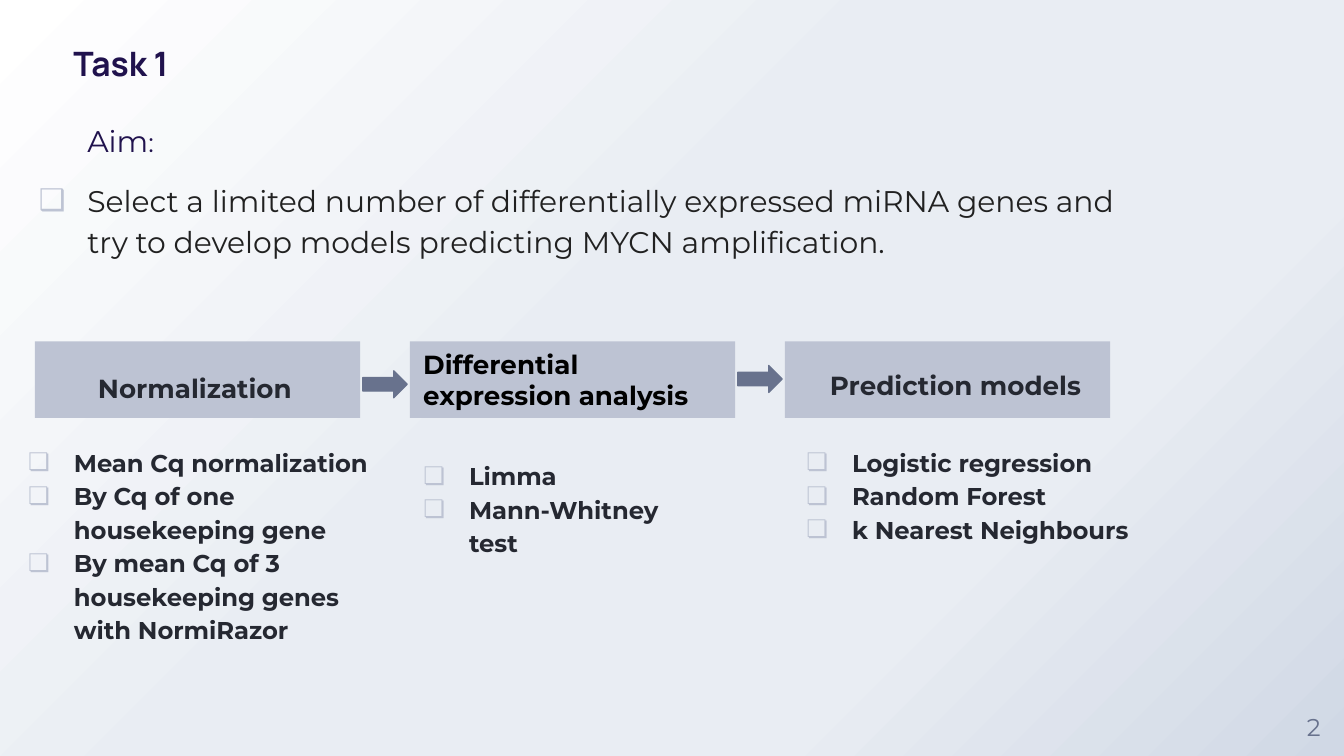
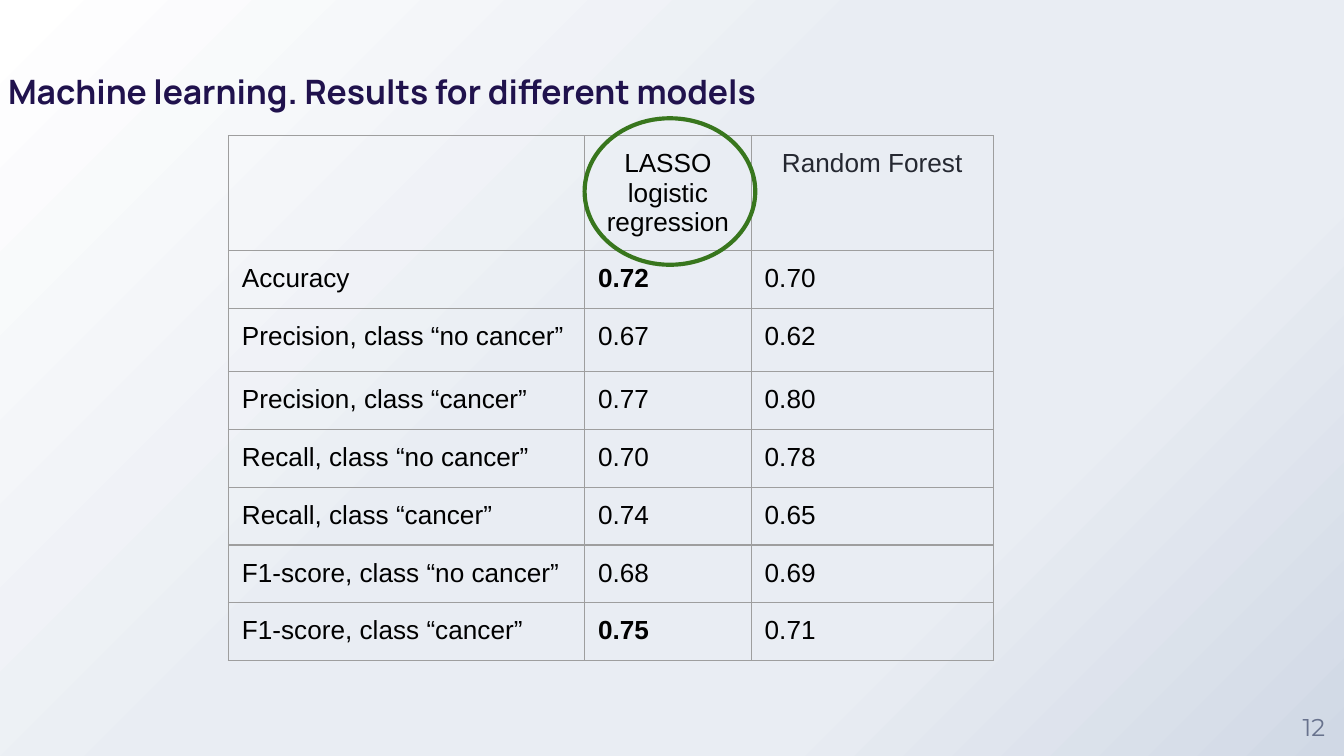
"""Builds two slides on choosing miRNA genes and comparing prediction models."""
from dataclasses import dataclass

from lxml import etree
from pptx import Presentation
from pptx.dml.color import RGBColor
from pptx.enum.shapes import MSO_SHAPE
from pptx.enum.text import MSO_ANCHOR, MSO_AUTO_SIZE, PP_ALIGN
from pptx.oxml.ns import qn
from pptx.util import Inches, Pt

RECTANGLE, ARROW, OVAL = MSO_SHAPE.RECTANGLE, MSO_SHAPE.RIGHT_ARROW, MSO_SHAPE.OVAL
LEFT, CENTER = PP_ALIGN.LEFT, PP_ALIGN.CENTER
TOP, MIDDLE, BOTTOM = MSO_ANCHOR.TOP, MSO_ANCHOR.MIDDLE, MSO_ANCHOR.BOTTOM
NO_FIT = MSO_AUTO_SIZE.NONE


@dataclass(frozen=True)
class Theme:
    """Holds the colours, fonts and type sizes."""
    navy: str = "20124D"
    ink: str = "252831"
    charcoal: str = "212121"
    black: str = "000000"
    slate: str = "68728D"
    band: str = "BDC3D3"
    grid: str = "9E9E9E"
    green: str = "38761D"
    title_font: str = "Manrope"
    body_font: str = "Montserrat"
    table_font: str = "Arial"
    title_size: int = 18
    lead_size: int = 16
    label_size: int = 14
    list_size: int = 13
    inset: float = 0.1
    backdrop: tuple = ((0, "FFFFFF"), (44, "E9EDF3"), (72, "E9EDF3"), (100, "D0D8E5"))


THEME = Theme()

AIM = "Select a limited number of differentially expressed miRNA genes and try to develop models predicting MYCN amplification."
STAGE_LEFT, STAGE_STEP, STAGE_TOP = 0.26, 2.79, 2.54
STAGE_WIDTH, STAGE_HEIGHT = 2.42, 0.57
ARROW_TOPS = (2.76, 2.72)
STAGE_LABELS = (
    ("Normalization", (0.49, 2.02, 1.92, 1.7)),
    ("Prediction models", (5.84, 2, 2.54, 1.7)),
)
MIDDLE_STAGE = "Differential expression analysis"
STAGE_LISTS = (
    ((0.05, 3.3, 2.8, 1.88), 0, (
        "Mean Cq normalization",
        "By Cq of one housekeeping gene",
        "By mean Cq of 3 housekeeping genes with NormiRazor",
    )),
    ((2.89, 3.3, 2.12, 0.92), THEME.inset, ("Limma", "Mann-Whitney test")),
    ((5.84, 3.3, 3.7, 1.39), 0, ("Logistic regression", "Random Forest", "k Nearest Neighbours")),
)

MODEL_SCORES = (
    ("", "LASSO logistic regression", "Random Forest"),
    ("Accuracy", "0.72", "0.70"),
    ("Precision, class “no cancer”", "0.67", "0.62"),
    ("Precision, class “cancer”", "0.77", "0.80"),
    ("Recall, class “no cancer”", "0.70", "0.78"),
    ("Recall, class “cancer”", "0.74", "0.65"),
    ("F1-score, class “no cancer”", "0.68", "0.69"),
    ("F1-score, class “cancer”", "0.75", "0.71"),
)
BEST_SCORES = ("0.72", "0.75")
COLUMN_WIDTHS = (2.65, 1.24, 1.8)
ROW_HEIGHTS = (0.67, 0.43, 0.47) + (0.43,) * 5


def color(value):
    return RGBColor.from_string(value)


def add_solid(parent, tag, value):
    """Appends a colour holder to an XML element."""
    holder = etree.SubElement(parent, qn(tag))
    etree.SubElement(holder, qn("a:srgbClr"), val=value)


def paint_master(master):
    """Gives every slide the corner gradient."""
    master.background.fill.gradient()
    gradient = next(master.element.iter(qn("a:gradFill")))
    for child in list(gradient):
        gradient.remove(child)
    stops = etree.SubElement(gradient, qn("a:gsLst"))
    for position, value in THEME.backdrop:
        stop = etree.SubElement(stops, qn("a:gs"), pos=str(position * 1000))
        etree.SubElement(stop, qn("a:srgbClr"), val=value)
    spread = etree.SubElement(gradient, qn("a:path"), path="circle")
    etree.SubElement(spread, qn("a:fillToRect"), r="100000", b="100000")


def place(box, area):
    box.left, box.top, box.width, box.height = map(Inches, area)


def prepare_frame(frame, anchor=TOP, inset=0):
    frame.word_wrap = True
    frame.auto_size = NO_FIT
    frame.vertical_anchor = anchor
    frame.margin_left = frame.margin_right = Inches(inset)
    frame.margin_top = frame.margin_bottom = Inches(inset)


def add_span(para, text, font, size, value, bold=False):
    span = para.add_run()
    span.text = text
    span.font.name, span.font.size, span.font.bold = font, Pt(size), bold
    span.font.color.rgb = color(value)


def format_para(para, align=LEFT, spacing=1.0, before=0):
    para.alignment = align
    para.line_spacing = spacing
    para.space_before = Pt(before)


def set_bullet(para, mark=None, hang=0):
    """Sets the half-inch indent and, if given, the bullet mark."""
    props = para._p.get_or_add_pPr()
    props.set("marL", str(Inches(0.5)))
    props.set("indent", str(-Inches(hang)))
    if mark:
        add_solid(props, "a:buClr", THEME.band)
        etree.SubElement(props, qn("a:buChar"), char=mark)
    else:
        etree.SubElement(props, qn("a:buNone"))


def set_title(page, text, area, align=LEFT, bottom=0):
    title = page.shapes.title
    place(title, area)
    prepare_frame(title.text_frame, BOTTOM)
    title.text_frame.margin_bottom = Inches(bottom)
    para = title.text_frame.paragraphs[0]
    format_para(para, align)
    add_span(para, text, THEME.title_font, THEME.title_size, THEME.navy, True)


def add_label(page, text, area, size, value, bold=False, spacing=1.0, inset=0):
    box = page.shapes.add_textbox(*map(Inches, area))
    prepare_frame(box.text_frame, MIDDLE, inset)
    para = box.text_frame.paragraphs[0]
    format_para(para, CENTER, spacing)
    add_span(para, text, THEME.body_font, size, value, bold)


def add_page_number(page, number):
    add_label(page, number, (9.55, 5.18, 0.45, 0.45), THEME.list_size, THEME.slate)


def add_plain_shape(page, kind, area, fill=None, line=None, weight=0.75):
    shape = page.shapes.add_shape(kind, *map(Inches, area))
    shape.shadow.inherit = False
    if fill:
        shape.fill.solid()
        shape.fill.fore_color.rgb = color(fill)
    else:
        shape.fill.background()
    if line:
        shape.line.color.rgb = color(line)
        shape.line.width = Pt(weight)
    else:
        shape.line.fill.background()
    return shape


def fill_aim(box):
    place(box, (0.15, 0.86, 8.41, 1.16))
    frame = box.text_frame
    prepare_frame(frame)
    heading = frame.paragraphs[0]
    format_para(heading, spacing=1.2)
    set_bullet(heading)
    add_span(heading, "Aim", THEME.body_font, THEME.lead_size, THEME.navy)
    add_span(heading, ":", THEME.body_font, THEME.label_size, THEME.navy)
    goal = frame.add_paragraph()
    format_para(goal, spacing=1.15, before=10)
    set_bullet(goal, "❑", 0.36)
    add_span(goal, AIM, THEME.body_font, THEME.lead_size, THEME.charcoal)


def fill_list(box, area, inset, items):
    place(box, area)
    frame = box.text_frame
    prepare_frame(frame, inset=inset)
    for index, item in enumerate(items):
        para = frame.add_paragraph() if index else frame.paragraphs[0]
        format_para(para, spacing=1.15, before=0 if index else 6)
        set_bullet(para, "❏", 0.34)
        add_span(para, item, THEME.body_font, THEME.list_size, THEME.ink, True)


def build_task(deck):
    page = deck.slides.add_slide(deck.slide_layouts[4])
    set_title(page, "Task 1", (0.12, 0.17, 1.56, 0.45), CENTER)
    aim, *lists = [box for box in page.placeholders if box.placeholder_format.idx]
    fill_aim(aim)
    for box, (area, inset, items) in zip(lists, STAGE_LISTS):
        fill_list(box, area, inset, items)
    stages = [
        add_plain_shape(page, RECTANGLE, (STAGE_LEFT + index * STAGE_STEP, STAGE_TOP, STAGE_WIDTH, STAGE_HEIGHT), THEME.band)
        for index in range(len(STAGE_LISTS))
    ]
    frame = stages[1].text_frame
    prepare_frame(frame, MIDDLE, THEME.inset)
    format_para(frame.paragraphs[0])
    add_span(frame.paragraphs[0], MIDDLE_STAGE, THEME.body_font, THEME.label_size, THEME.black, True)
    for index, top in enumerate(ARROW_TOPS):
        left = STAGE_LEFT + STAGE_WIDTH + 0.02 + index * STAGE_STEP
        add_plain_shape(page, ARROW, (left, top, 0.33, 0.2), THEME.slate, THEME.slate)
    for text, area in STAGE_LABELS:
        add_label(page, text, area, THEME.label_size, THEME.ink, True, 1.15, THEME.inset)
    add_page_number(page, "2")


def format_cell(cell):
    cell.fill.background()
    cell.margin_left = cell.margin_right = Inches(THEME.inset)
    cell.margin_top = cell.margin_bottom = Inches(THEME.inset)
    props = cell._tc.get_or_add_tcPr()
    for index, side in enumerate(("a:lnL", "a:lnR", "a:lnT", "a:lnB")):
        edge = etree.Element(qn(side), w=str(Pt(0.75)))
        add_solid(edge, "a:solidFill", THEME.grid)
        props.insert(index, edge)


def add_scores(page):
    area = (1.7, 1.01, sum(COLUMN_WIDTHS), sum(ROW_HEIGHTS))
    table = page.shapes.add_table(len(ROW_HEIGHTS), len(COLUMN_WIDTHS), *map(Inches, area)).table
    table.first_row = table.horz_banding = False
    for column, width in zip(table.columns, COLUMN_WIDTHS):
        column.width = Inches(width)
    for row, height, texts in zip(table.rows, ROW_HEIGHTS, MODEL_SCORES):
        row.height = Inches(height)
        header = texts is MODEL_SCORES[0]
        for cell, text in zip(row.cells, texts):
            format_cell(cell)
            if not text:
                continue
            para = cell.text_frame.paragraphs[0]
            para.alignment = CENTER if header else LEFT
            value = THEME.ink if text == "Random Forest" else THEME.black
            add_span(para, text, THEME.table_font, THEME.label_size, value, text in BEST_SCORES)


def build_results(deck):
    page = deck.slides.add_slide(deck.slide_layouts[5])
    set_title(page, "Machine learning. Results for different models", (0.06, 0.19, 6.63, 0.94), bottom=0.3)
    add_page_number(page, "12")
    add_scores(page)
    add_plain_shape(page, OVAL, (4.35, 0.88, 1.27, 1.09), line=THEME.green, weight=2.25)


def main():
    deck = Presentation()
    deck.slide_width = Inches(10)
    deck.slide_height = deck.slide_width * 9 // 16
    paint_master(deck.slide_master)
    build_task(deck)
    build_results(deck)
    deck.save("out.pptx")


if __name__ == "__main__":
    main()
